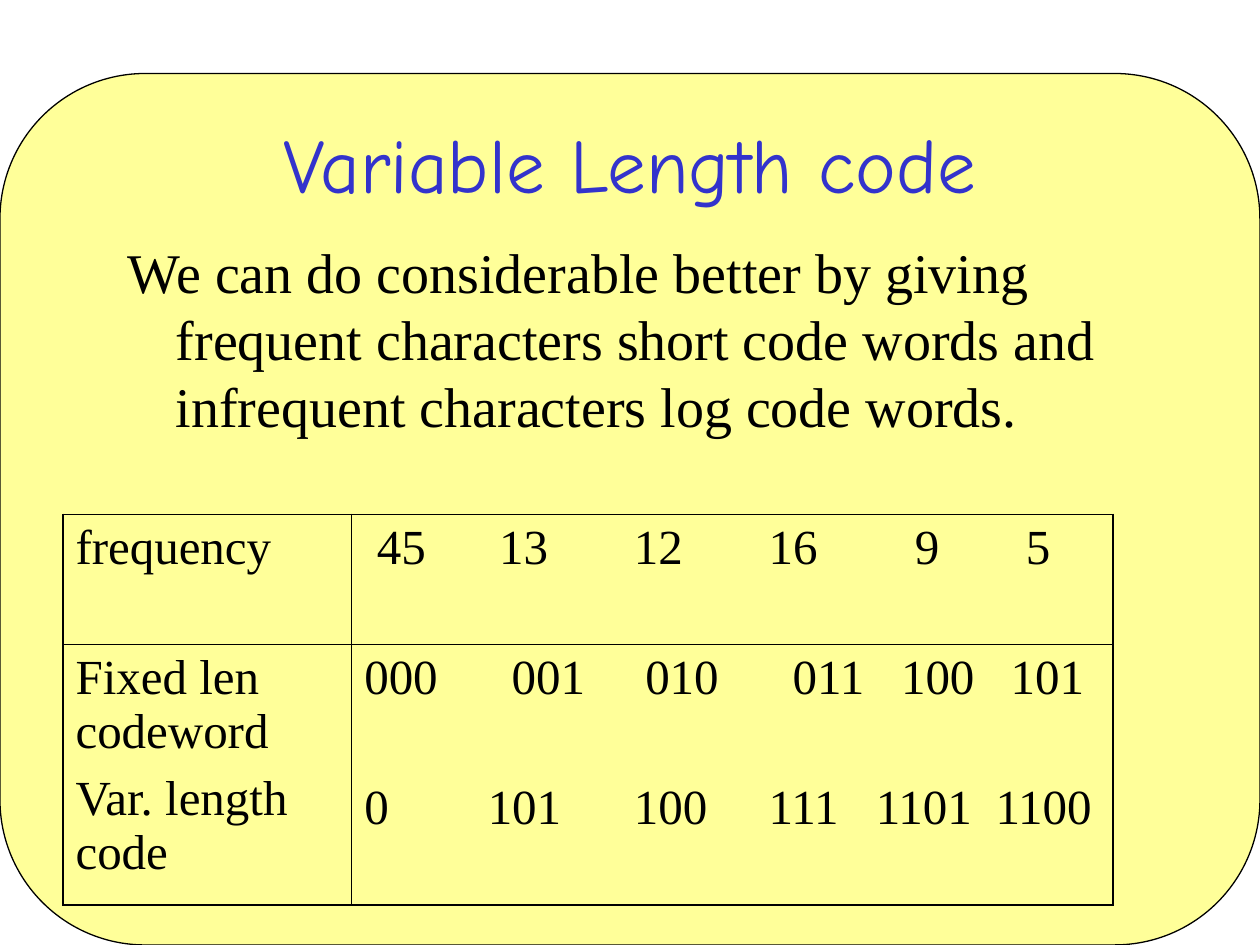
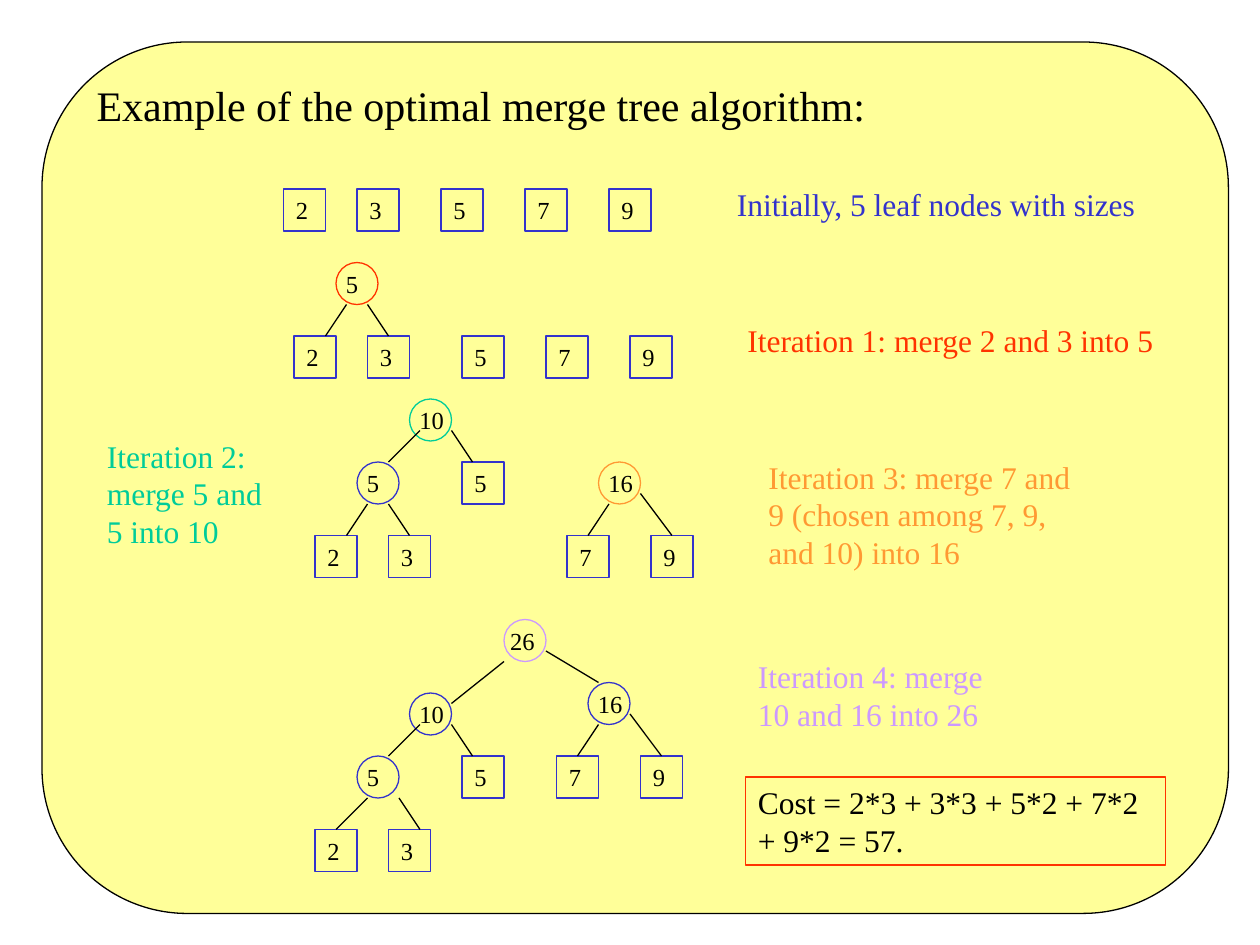
from lxml.etree import SubElement
from pptx import Presentation
from pptx.dml.color import RGBColor
from pptx.enum.shapes import MSO_CONNECTOR, MSO_SHAPE
from pptx.enum.text import MSO_ANCHOR, MSO_AUTO_SIZE, PP_ALIGN
from pptx.oxml.ns import qn
from pptx.util import Inches, Pt

# Every position is a number of grid units: the slide is 120 by 90
UNIT = Inches(10) // 120
SERIF, HAND = "Times New Roman", "Comic Neue"
BLACK, BLUE, PALE_YELLOW = "000000", "3333CC", "FFFF99"
RED, GREEN, ORANGE, PURPLE = "FF3300", "00CC99", "FF9933", "CC99FF"


def write(frame, text, size, colour=BLACK, font=SERIF, align=PP_ALIGN.LEFT):
    """Fill a text frame and format all of its runs."""
    frame.text = text
    frame.word_wrap = True
    for paragraph in frame.paragraphs:
        paragraph.alignment = align
        for span in paragraph.runs:
            span.font.size = Pt(size)
            span.font.name = font
            span.font.color.rgb = RGBColor.from_string(colour)


def add_outlined(page, kind, grid, line, fill=None):
    """Add a preset shape at grid = (left, top, width, height) in units."""
    shape = page.shapes.add_shape(kind, *[round(n * UNIT) for n in grid])
    shape.shadow.inherit = False
    shape.line.color.rgb = RGBColor.from_string(line)
    shape.line.width = Pt(0.75)
    if fill:
        shape.fill.solid()
        shape.fill.fore_color.rgb = RGBColor.from_string(fill)
    else:
        shape.fill.background()
    shape.text_frame.vertical_anchor = MSO_ANCHOR.TOP
    return shape


deck = Presentation()
deck.slide_width, deck.slide_height = 120 * UNIT, 90 * UNIT

# Both slides: a title on a rounded panel
pages = []
for panel_grid, title_grid, title_text, title_style in [
    ((0, 7, 120, 83), (9, 8, 102, 15), "Variable Length code",
     (44, BLUE, HAND, PP_ALIGN.CENTER)),
    ((4, 4, 113, 83), (8, 7, 101, 6), "Example of the optimal merge tree algorithm:",
     (24, BLACK, SERIF, PP_ALIGN.LEFT)),
]:
    page = deck.slides.add_slide(deck.slide_layouts[5])
    title = page.shapes.title
    title.left, title.top, title.width, title.height = [n * UNIT for n in title_grid]
    write(title.text_frame, title_text, *title_style)
    title.text_frame.auto_size = MSO_AUTO_SIZE.NONE
    title.text_frame.vertical_anchor = MSO_ANCHOR.MIDDLE
    panel = add_outlined(page, MSO_SHAPE.ROUNDED_RECTANGLE, panel_grid, BLACK, PALE_YELLOW)
    title.element.addprevious(panel.element)  # the panel lies behind the title
    pages.append(page)
code_page, tree_page = pages

# Slide 1: statement with a hanging indent
statement = code_page.shapes.add_textbox(11 * UNIT, 22 * UNIT, 102 * UNIT, 20 * UNIT)
write(statement.text_frame,
      "We can do considerable better by giving frequent characters short code words "
      "and infrequent characters log code words.", 32)
paragraph = statement.text_frame.paragraphs[0]
paragraph.space_before = Pt(8)
properties = paragraph._p.get_or_add_pPr()
properties.set("marL", str(Inches(0.38)))
properties.set("indent", str(-Inches(0.38)))

# Slide 1: table of codes, with tab stops in inches for each line of values
column_units, row_units = (27.5, 72.5), (12.4, 24.8)
cell_texts = [
    ["frequency", "\t45\t13\t12\t16\t9\t5"],
    ["Fixed len codeword\nVar. length code",
     "000\t001\t010\t011\t100\t101\n0\t101\t100\t111\t1101\t1100"],
]
tab_stops = [
    [[0.1, 1.07, 2.14, 3.21, 4.37, 5.25]],
    [[1.17, 2.23, 3.4, 4.26, 5.13], [0.98, 2.14, 3.21, 4.06, 5.01]],
]
graphic = code_page.shapes.add_table(2, 2, 6 * UNIT, 49 * UNIT, 100 * UNIT, round(37.2 * UNIT))
table = graphic.table
table.first_row = table.horz_banding = False
for index in range(2):
    table.columns[index].width = round(column_units[index] * UNIT)
    table.rows[index].height = round(row_units[index] * UNIT)

for row in range(2):
    for column in range(2):
        cell = table.cell(row, column)
        write(cell.text_frame, cell_texts[row][column], 28)
        for paragraph in cell.text_frame.paragraphs:
            paragraph.space_before = Pt(7)
        cell_properties = cell._tc.get_or_add_tcPr()
        outer_sides = {"lnL": column == 0, "lnR": column == 1,
                       "lnT": row == 0, "lnB": row == 1}
        for side, is_outer in outer_sides.items():
            border = SubElement(cell_properties, qn(f"a:{side}"),
                                w=str(Pt(1.08 if is_outer else 0.45)))
            SubElement(SubElement(border, qn("a:solidFill")), qn("a:srgbClr"), val=BLACK)
        cell.fill.background()

    value_paragraphs = table.cell(row, 1).text_frame.paragraphs
    for paragraph, stops in zip(value_paragraphs, tab_stops[row]):
        tab_list = SubElement(paragraph._p.get_or_add_pPr(), qn("a:tabLst"))
        for stop in stops:
            SubElement(tab_list, qn("a:tab"), pos=str(Inches(stop)), algn="l")
table.cell(1, 1).text_frame.paragraphs[1].space_before = Pt(43)

# Slide 2: leaf nodes, as (top, {left: size})
leaf_rows = [
    (18, {27: 2, 34: 3, 42: 5, 50: 7, 58: 9}),
    (32, {28: 2, 35: 3, 44: 5, 52: 7, 60: 9}),
    (44, {44: 5}),
    (51, {30: 2, 37: 3, 54: 7, 62: 9}),
    (72, {44: 5, 53: 7, 61: 9}),
    (79, {30: 2, 37: 3}),
]
for top, leaves in leaf_rows:
    for left, size in leaves.items():
        leaf = add_outlined(tree_page, MSO_SHAPE.RECTANGLE, (left, top, 4, 4), BLUE)
        write(leaf.text_frame, str(size), 14)

# Slide 2: merged nodes, as (left, top, size, colour)
merged_nodes = [
    (32, 25, 5, RED),
    (39, 38, 10, GREEN), (34, 44, 5, BLUE), (57, 44, 16, ORANGE),
    (48, 59, 26, PURPLE), (39, 66, 10, BLUE), (56, 65, 16, BLUE), (34, 72, 5, BLUE),
]
for left, top, size, colour in merged_nodes:
    node = add_outlined(tree_page, MSO_SHAPE.OVAL, (left, top, 4, 4), colour)
    frame = node.text_frame
    frame.margin_left = 0 if size == 26 else Inches(0.03)
    frame.margin_top = frame.margin_right = frame.margin_bottom = 0
    write(frame, str(size), 14)

# Slide 2: edges, as (parent x, parent y, child x, child y)
edges = [
    (33, 29, 31, 32), (35, 29, 37, 32),
    (40, 41, 37, 44), (43, 41, 45, 44), (35, 48, 33, 51), (37, 48, 39, 51),
    (58, 48, 56, 51), (61, 47, 64, 51),
    (48, 63, 43, 67), (52, 62, 57, 65), (40, 69, 37, 72), (43, 69, 45, 72),
    (57, 69, 55, 72), (60, 68, 63, 72), (35, 76, 32, 79), (38, 76, 40, 79),
]
for edge in edges:
    connector = tree_page.shapes.add_connector(MSO_CONNECTOR.STRAIGHT, *[n * UNIT for n in edge])
    connector.line.color.rgb = RGBColor.from_string(BLACK)
    connector.line.width = Pt(0.75)
    SubElement(connector._element.spPr, qn("a:effectLst"))

# Slide 2: captions in the colour of the node they explain
captions = [
    ((69, 17, 41, 5), BLUE, "Initially, 5 leaf nodes with sizes"),
    ((70, 30, 42, 5), RED, "Iteration 1: merge 2 and 3 into 5"),
    ((9, 41, 19, 12), GREEN, "Iteration 2: merge 5 and 5 into 10"),
    ((72, 43, 33, 12), ORANGE, "Iteration 3: merge 7 and 9 (chosen among 7, 9, and 10) into 16"),
    ((71, 62, 27, 8), PURPLE, "Iteration 4: merge 10 and 16 into 26"),
]
for grid, colour, text in captions:
    caption = tree_page.shapes.add_textbox(*[n * UNIT for n in grid])
    write(caption.text_frame, text, 18, colour)

cost = add_outlined(tree_page, MSO_SHAPE.RECTANGLE, (71, 74, 40, 8.4), RED)
write(cost.text_frame, "Cost = 2*3 + 3*3 + 5*2 + 7*2 + 9*2 = 57.", 18)

deck.save("out.pptx")
